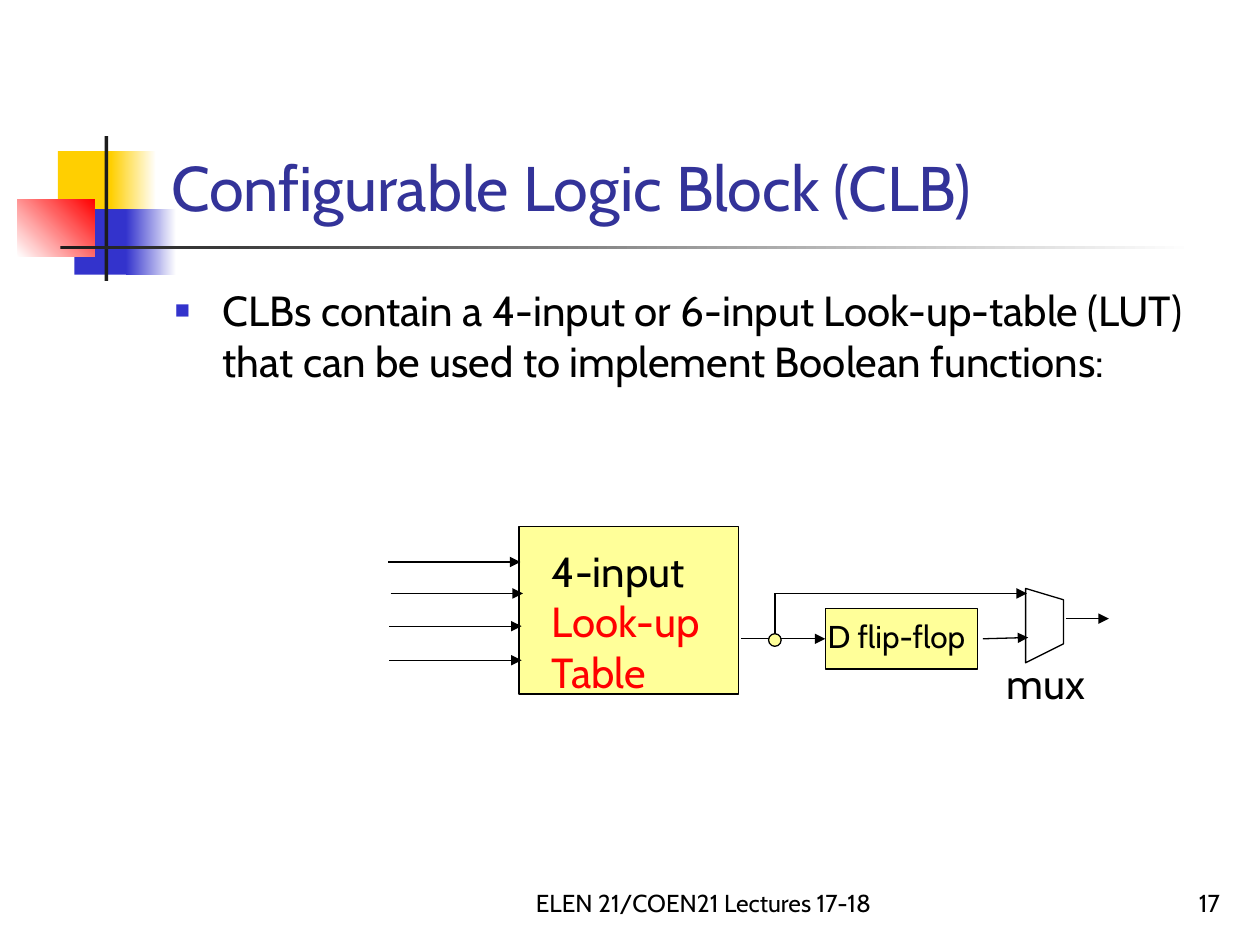
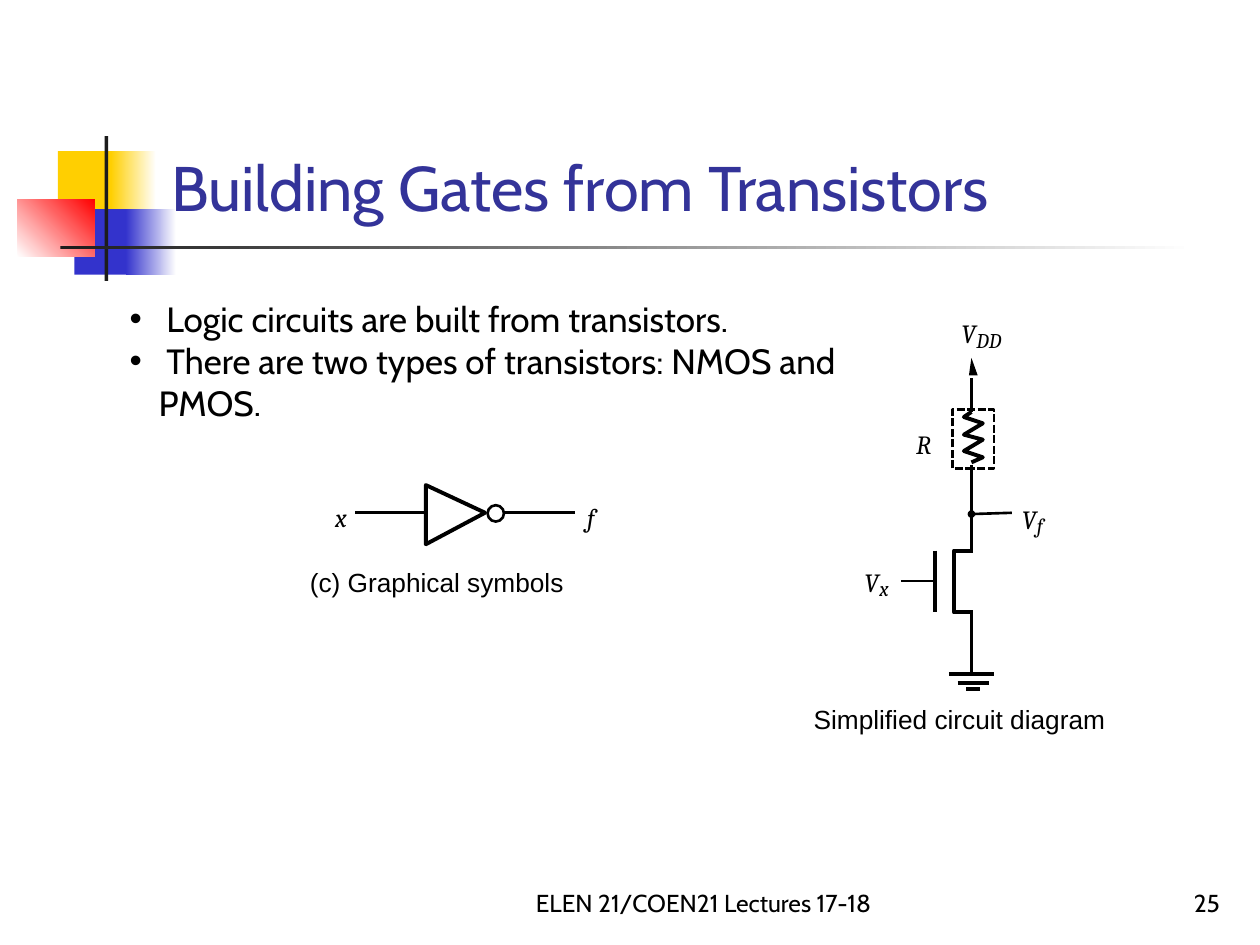
"""Two lecture slides: a configurable logic block and a transistor-level inverter."""
from lxml.etree import SubElement
from pptx import Presentation
from pptx.dml.color import RGBColor
from pptx.enum.dml import MSO_LINE
from pptx.enum.shapes import MSO_CONNECTOR, MSO_SHAPE
from pptx.enum.text import MSO_ANCHOR as Anchor, MSO_AUTO_SIZE as AutoSize, PP_ALIGN as Align
from pptx.oxml.ns import qn
from pptx.util import Inches, Pt

BLACK = RGBColor(0x00, 0x00, 0x00)
WHITE = RGBColor(0xFF, 0xFF, 0xFF)
GOLD = RGBColor(0xFF, 0xCF, 0x01)
BLUE = RGBColor(0x33, 0x33, 0xCC)
RED = RGBColor(0xFF, 0x00, 0x00)
CHARCOAL = RGBColor(0x1C, 0x1C, 0x1C)
TITLE_BLUE = RGBColor(0x33, 0x33, 0x99)
PALE_YELLOW = RGBColor(0xFF, 0xFF, 0x99)

BODY_FONT, LABEL_FONT, SYMBOL_FONT = "Cabin", "Arial", "Cambria"
FOOTER = "ELEN 21/COEN21 Lectures 17-18"
THIN, WIRE, BOLD = 0.75, 1.5, 2.25

BAND = [
    ((0.46, 1.2, 0.48, 0.52), GOLD),
    ((0.88, 1.2, 0.36, 0.52), (GOLD, WHITE, 0)),
    ((0.59, 1.66, 0.46, 0.52), BLUE),
    ((1, 1.66, 0.4, 0.52), (BLUE, WHITE, 0)),
    ((0.14, 1.58, 0.61, 0.46), (WHITE, RED, 45)),
    ((0.83, 1.08, 0.03, 1.15), CHARCOAL),
    ((0.48, 1.95, 9, 0.03), (CHARCOAL, WHITE, 0)),
]


def paint(shape, fill, weight):
    """Give a shape its plain, gradient or empty fill and its black outline."""
    shape.shadow.inherit = False
    if fill is None:
        shape.fill.background()
    elif isinstance(fill, RGBColor):
        shape.fill.solid()
        shape.fill.fore_color.rgb = fill
    else:
        *colours, angle = fill
        shape.fill.gradient()
        shape.fill.gradient_angle = angle
        for stop, colour in zip(shape.fill.gradient_stops, colours):
            stop.color.rgb = colour
    if weight:
        shape.line.color.rgb = BLACK
        shape.line.width = Pt(weight)
    else:
        shape.line.fill.background()


def add_figure(page, at, fill=None, weight=0, kind=MSO_SHAPE.RECTANGLE):
    """Draw a preset shape."""
    shape = page.shapes.add_shape(kind, *map(Inches, at))
    paint(shape, fill, weight)
    return shape


def add_outline(page, points, weight=0, fill=None, close=True):
    """Draw a polygon or an open polyline through points in inches."""
    start, *rest = [(Inches(x), Inches(y)) for x, y in points]
    builder = page.shapes.build_freeform(*start)
    builder.add_line_segments(rest, close=close)
    paint(builder.convert_to_shape(), fill, weight)


def add_wire(page, start, end, weight=WIRE, arrow=False):
    """Draw a straight line, with an arrowhead at its end if asked."""
    wire = page.shapes.add_connector(MSO_CONNECTOR.STRAIGHT, *map(Inches, start + end))
    wire.line.color.rgb = BLACK
    wire.line.width = Pt(weight)
    outline = wire.element.spPr
    if arrow:
        SubElement(outline.find(qn("a:ln")), qn("a:tailEnd"), type="triangle")
    SubElement(outline, qn("a:effectLst"))
    return wire


def add_span(para, text, size, colour=BLACK, font=BODY_FONT, italic=False):
    """Append a formatted run to a paragraph."""
    span = para.add_run()
    span.text = text
    for name, value in {"name": font, "size": Pt(size), "italic": italic}.items():
        setattr(span.font, name, value)
    span.font.color.rgb = colour


def add_text(page, at, text, size, colour=BLACK, anchor=Anchor.TOP, align=Align.LEFT):
    """Add a wrapping text box and return its first paragraph."""
    frame = page.shapes.add_textbox(*map(Inches, at)).text_frame
    frame.word_wrap = True
    frame.vertical_anchor = anchor
    para = frame.paragraphs[0]
    para.alignment = align
    add_span(para, text, size, colour)
    return para


def add_label(page, at, text, size=15, font=SYMBOL_FONT):
    """Add a tight one-line label; symbols are italic."""
    frame = page.shapes.add_textbox(*map(Inches, at)).text_frame
    tight = {"margin_left": 0, "margin_top": 0, "margin_right": 0, "margin_bottom": 0,
             "word_wrap": False, "auto_size": AutoSize.SHAPE_TO_FIT_TEXT}
    for name, value in tight.items():
        setattr(frame, name, value)
    add_span(frame.paragraphs[0], text, size, font=font, italic=font == SYMBOL_FONT)


def add_voltage(page, left, top, subscript, width):
    """Add the letter V with a subscript to its lower right."""
    add_label(page, (left, top, 0.18, 0.25), "V")
    add_label(page, (left + 0.12, top + 0.08, width, 0.2), subscript, 12)


def set_bullet(para, mark, indent, colour=BLACK, percent=100):
    """Give a paragraph a hanging bullet."""
    props = para._p.get_or_add_pPr()
    props.set("marL", str(Inches(indent)))
    props.set("indent", str(-Inches(indent)))
    SubElement(SubElement(props, qn("a:buClr")), qn("a:srgbClr"), val=str(colour))
    SubElement(props, qn("a:buSzPct"), val=str(percent * 1000))
    SubElement(props, qn("a:buFont"), typeface=LABEL_FONT)
    SubElement(props, qn("a:buChar"), char=mark)


def add_page(deck, title, number):
    """Add a slide with the shared band, title and footer."""
    page = deck.slides.add_slide(deck.slide_layouts[6])
    for at, fill in BAND:
        add_figure(page, at, fill)
    add_text(page, (1.26, 0.23, 8.52, 1.6), title, 36, TITLE_BLUE, Anchor.BOTTOM)
    add_text(page, (7.7, 6.83, 2.08, 0.5), str(number), 14, anchor=Anchor.BOTTOM, align=Align.RIGHT)
    add_text(page, (4, 6.83, 3.17, 0.5), FOOTER, 14, anchor=Anchor.BOTTOM, align=Align.CENTER)
    return page


def draw_logic_block(page):
    """Draw the look-up table, flip-flop and multiplexer."""
    add_figure(page, (4.12, 4.18, 1.74, 1.33), PALE_YELLOW, THIN)
    table_text = add_text(page, (4.28, 4.28, 1.55, 1.31), "4-input ", 24)
    add_span(table_text, "Look-up Table", 24, RED)
    for left, y in [(3.08, 4.46), (3.1, 4.71), (3.09, 4.97), (3.09, 5.24)]:
        add_wire(page, (left, y), (left + 1.05, y), THIN, arrow=True)

    flip_flop = add_figure(page, (6.55, 4.83, 1.21, 0.48), PALE_YELLOW, THIN)
    add_text(page, (6.47, 4.85, 1.4, 0.4), "D flip-flop", 18)
    add_wire(page, (5.88, 5.07), (6.55, 5.07), THIN, arrow=True).end_connect(flip_flop, 1)
    add_wire(page, (6.15, 4.71), (6.15, 5.05), THIN)
    add_wire(page, (6.15, 4.71), (8.15, 4.71), THIN, arrow=True)
    add_wire(page, (7.8, 5.07), (8.16, 5.06), THIN, arrow=True)
    add_figure(page, (6.1, 5.03, 0.1, 0.1), PALE_YELLOW, THIN, MSO_SHAPE.OVAL)

    add_outline(page, [(8.14, 4.67), (8.44, 4.76), (8.44, 5.11), (8.14, 5.26)], THIN)
    add_wire(page, (8.46, 4.91), (8.8, 4.91), THIN, arrow=True)
    add_text(page, (7.89, 5.17, 1.4, 0.37), "mux", 24)


def draw_inverter_symbol(page):
    """Draw the NOT gate with its input and output."""
    add_wire(page, (2.82, 4.07), (3.38, 4.07))
    add_outline(page, [(3.85, 4.07), (3.38, 4.32), (3.38, 3.85)], BOLD)
    add_figure(page, (3.87, 4.01, 0.13, 0.13), None, WIRE, MSO_SHAPE.OVAL)
    add_wire(page, (4, 4.07), (4.56, 4.07))
    add_label(page, (2.66, 3.98, 0.14, 0.25), "x")
    add_label(page, (4.66, 3.98, 0.11, 0.25), "f")
    add_label(page, (2.46, 4.49, 2.07, 0.25), "(c) Graphical symbols", font=LABEL_FONT)


def draw_inverter_circuit(page):
    """Draw the NMOS inverter from supply to ground."""
    rail = 7.71
    add_outline(page, [(7.76, 2.98), (rail, 2.84), (7.69, 2.98)], fill=BLACK)
    for top, bottom in [(3, 3.27), (3.69, 4.37), (4.86, 5.35)]:
        add_wire(page, (rail, top), (rail, bottom))

    zigzag = [(7.65 if turn % 2 == 0 else 7.8, y)
              for turn, y in enumerate([3.31, 3.36, 3.45, 3.49, 3.58, 3.63])]
    add_outline(page, [(rail, 3.27), *zigzag, (rail, 3.67)], BOLD, close=False)
    resistor_frame = add_figure(page, (7.56, 3.25, 0.33, 0.47), None, WIRE)
    resistor_frame.line.dash_style = MSO_LINE.SQUARE_DOT
    add_label(page, (7.27, 3.4, 0.18, 0.25), "R")

    add_wire(page, (8.03, 4.07), (rail, 4.08))
    add_figure(page, (7.68, 4.05, 0.06, 0.06), BLACK, kind=MSO_SHAPE.OVAL)

    add_wire(page, (7.15, 4.61), (7.42, 4.61))
    add_wire(page, (7.42, 4.37), (7.42, 4.86), BOLD)
    channel = [(7.72, 4.37), (7.57, 4.37), (7.57, 4.86), (7.72, 4.86)]
    add_outline(page, channel, BOLD, close=False)

    for left, right, y in [(7.53, 7.89, 5.35), (7.6, 7.85, 5.42), (7.67, 7.78, 5.47)]:
        add_wire(page, (left, y), (right, y), BOLD)

    add_voltage(page, 7.63, 2.52, "DD", 0.24)
    add_voltage(page, 8.11, 3.99, "f", 0.09)
    add_voltage(page, 6.86, 4.49, "x", 0.12)
    add_label(page, (6.4, 5.58, 2.53, 0.25), " Simplified circuit diagram", font=LABEL_FONT)


def main():
    """Build and save the deck."""
    deck = Presentation()
    deck.slide_width, deck.slide_height = Inches(10), Inches(7.5)

    page = add_page(deck, "Configurable Logic Block (CLB)", 17)
    para = add_text(page, (1.29, 2.21, 8.5, 4.5),
                    "CLBs contain a 4-input or 6-input Look-up-table (LUT) "
                    "that can be used to implement Boolean functions:", 24)
    set_bullet(para, "■", 0.38, BLUE, 60)
    draw_logic_block(page)

    page = add_page(deck, "Building Gates from Transistors", 25)
    draw_inverter_circuit(page)
    draw_inverter_symbol(page)
    first = add_text(page, (0.93, 2.31, 6.25, 1.11),
                     " Logic circuits are built from transistors.", 20)
    second = first._parent.add_paragraph()
    add_span(second, " There are two types of transistors: NMOS and PMOS.", 20)
    for para in (first, second):
        set_bullet(para, "•", 0.23)

    deck.save("out.pptx")


if __name__ == "__main__":
    main()
